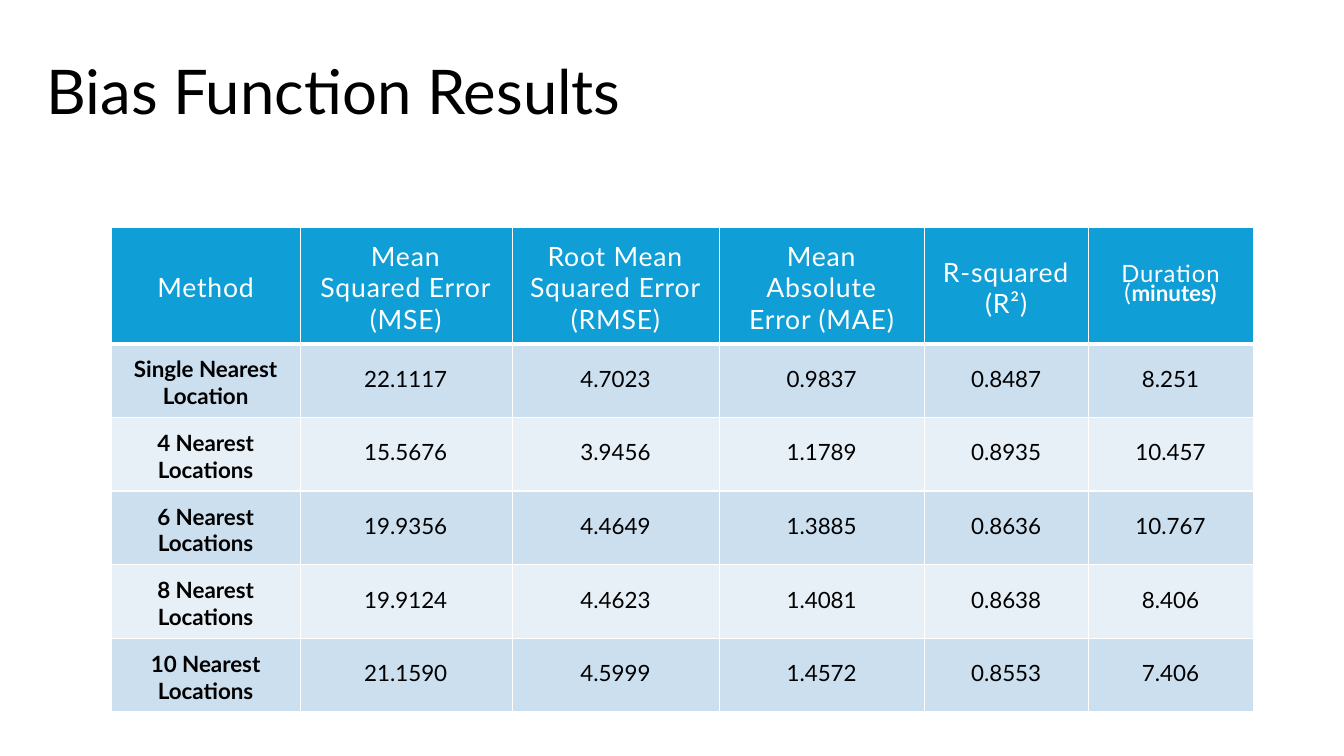
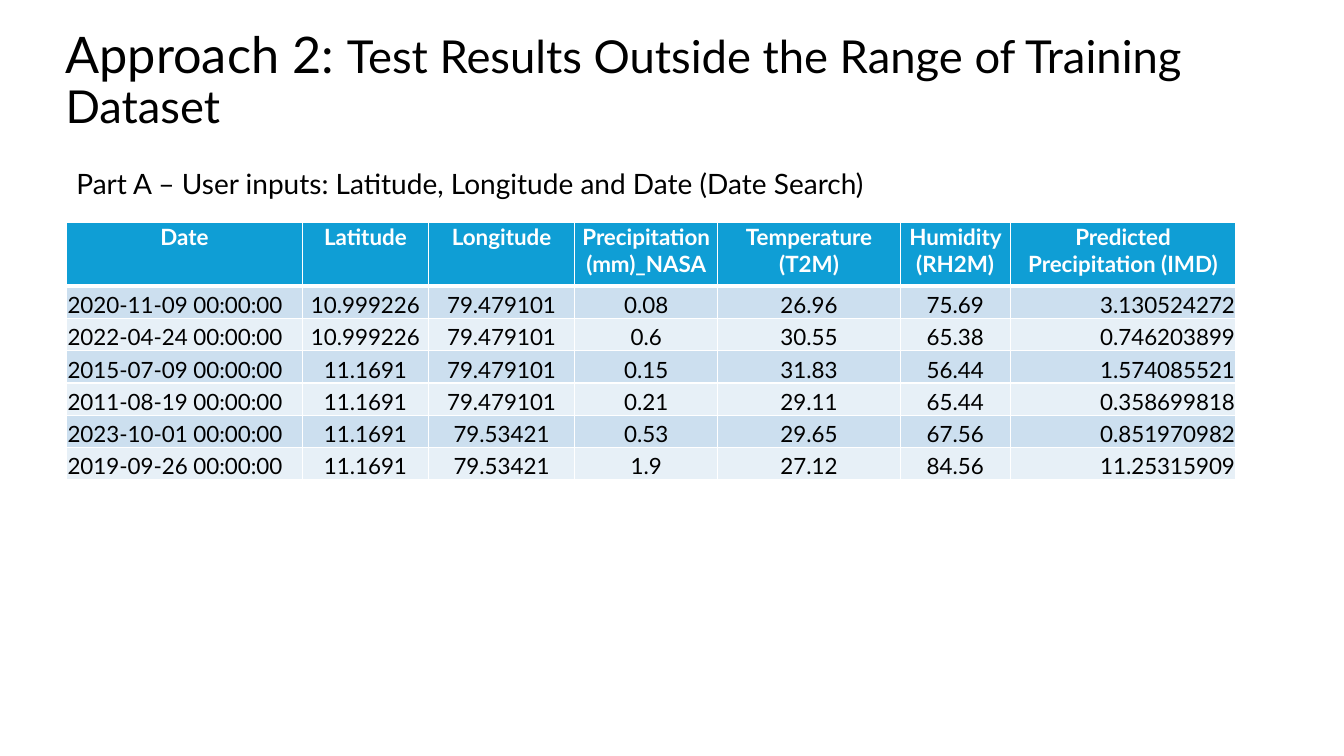
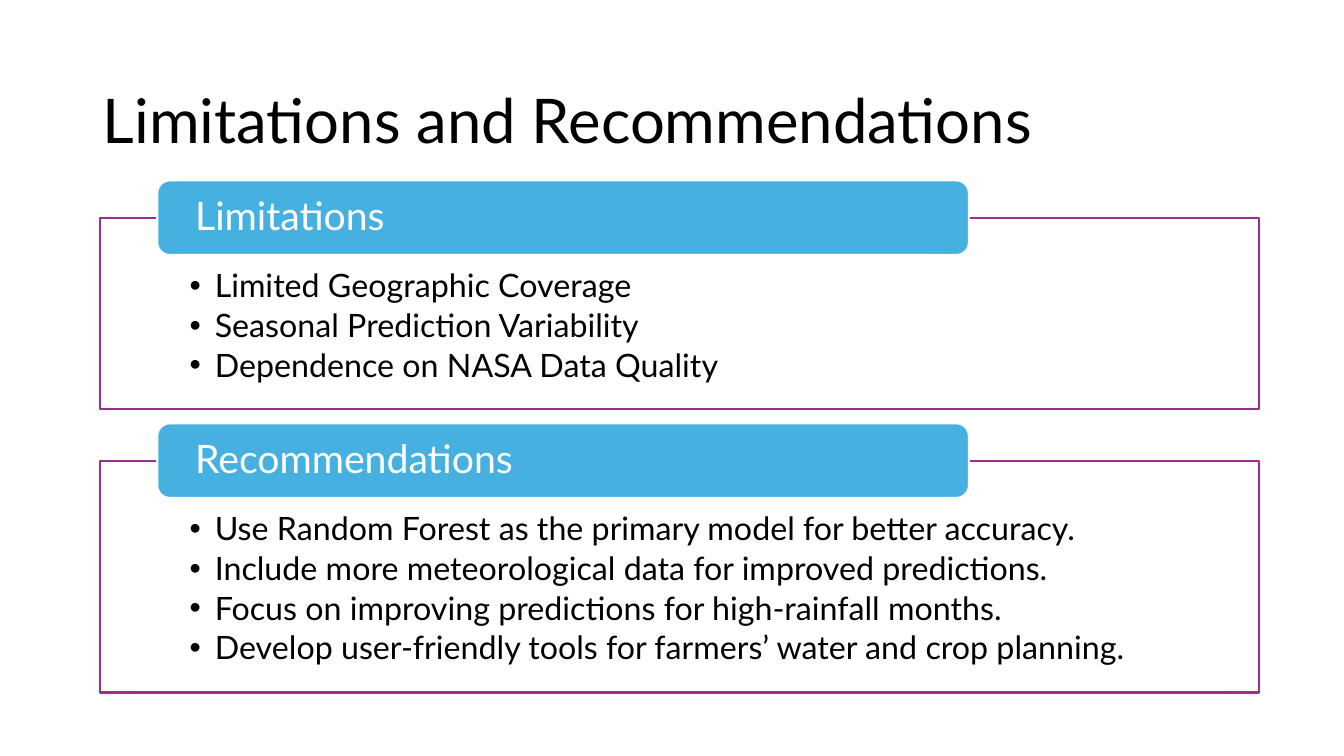
from lxml import etree
from pptx import Presentation
from pptx.dml.color import RGBColor
from pptx.enum.shapes import MSO_SHAPE
from pptx.enum.text import MSO_ANCHOR, MSO_AUTO_SIZE, PP_ALIGN
from pptx.oxml.ns import qn
from pptx.util import Pt

PX = 9144  # EMU: 100 px to the inch
RECT, ROUND = MSO_SHAPE.RECTANGLE, MSO_SHAPE.ROUNDED_RECTANGLE
TOP, MIDDLE, BOTTOM = MSO_ANCHOR.TOP, MSO_ANCHOR.MIDDLE, MSO_ANCHOR.BOTTOM
LEFT, CENTER, RIGHT = PP_ALIGN.LEFT, PP_ALIGN.CENTER, PP_ALIGN.RIGHT
NO_FIT = MSO_AUTO_SIZE.NONE
TITLE_ONLY, TWO_LISTS = 5, 3

FONT = "Lato"
BLACK, WHITE = "000000", "FFFFFF"
HEADER, BANDS = "0F9ED5", ("E7F0F7", "CCDFEF")
LABEL, FRAME = "46B1E1", "A02B93"


def rgb(color):
    return RGBColor.from_string(color)


def px(*values):
    return [value * PX for value in values]


def set_margins(target, left, top, right, bottom):
    target.margin_left, target.margin_top, target.margin_right, target.margin_bottom = px(
        left, top, right, bottom)


def set_borders(cell, heavy):
    """White cell borders of 1 pt, and of 3 pt on the sides named in heavy."""
    tc_pr = cell._tc.get_or_add_tcPr()
    for i, side in enumerate("LRTB"):
        ln = etree.Element(qn("a:ln" + side), w=str(Pt(3 if side in heavy else 1)))
        fill = etree.SubElement(ln, qn("a:solidFill"))
        etree.SubElement(fill, qn("a:srgbClr"), val=WHITE)
        tc_pr.insert(i, ln)


class Deck:
    """The shared style, and the slide being filled."""

    def __init__(self, prs):
        self.prs = prs
        self.s = None

    def slide(self, layout=TITLE_ONLY):
        self.s = self.prs.slides.add_slide(self.prs.slide_layouts[layout])

    def style(self, p, size, color=BLACK, bold=False, align=LEFT, line=0.9, spc=None):
        p.alignment = align
        p.line_spacing = line
        p.space_before = Pt(0)
        font = p.font
        font.name, font.size, font.bold = FONT, Pt(size), bold
        font.color.rgb = rgb(color)
        if spc:
            p._p.get_or_add_pPr().get_or_add_defRPr().set("spc", str(spc))

    def place(self, sp, box):
        sp.left, sp.top, sp.width, sp.height = px(*box)

    def title(self, box, text, rest="", size=44):
        """The slide title; rest follows in smaller type."""
        sp = self.s.shapes.title
        self.place(sp, box)
        tf = sp.text_frame
        tf.auto_size, tf.vertical_anchor = NO_FIT, MIDDLE
        p = tf.paragraphs[0]
        self.style(p, size)
        p.add_run().text = text
        if rest:
            r = p.add_run()
            r.text = rest
            r.font.size = Pt(size * 0.9)

    def shape(self, kind, box, fill, line=None):
        sp = self.s.shapes.add_shape(kind, *px(*box))
        sp.shadow.inherit = False
        sp.fill.solid()
        sp.fill.fore_color.rgb = rgb(fill)
        if line:
            sp.line.color.rgb = rgb(line)
            sp.line.width = Pt(1.5)
        else:
            sp.line.fill.background()
        return sp

    def band(self, box):
        """A white band behind the title."""
        sp = self.shape(RECT, box, WHITE)
        self.s.shapes.title.element.addprevious(sp.element)

    def text(self, box, text, size):
        tf = self.s.shapes.add_textbox(*px(*box)).text_frame
        tf.word_wrap = True
        tf.text = text
        self.style(tf.paragraphs[0], size)

    def label(self, box, text):
        tf = self.shape(ROUND, box, LABEL, WHITE).text_frame
        tf.word_wrap, tf.vertical_anchor = True, MIDDLE
        set_margins(tf, 34, 4, 34, 4)
        tf.text = text
        self.style(tf.paragraphs[0], 28, WHITE)

    def framed_list(self, idx, box, items):
        sp = self.s.placeholders[idx]
        self.place(sp, box)
        sp.fill.solid()
        sp.fill.fore_color.rgb = rgb(WHITE)
        sp.line.color.rgb = rgb(FRAME)
        sp.line.width = Pt(1.5)
        tf = sp.text_frame
        tf.auto_size, tf.vertical_anchor = NO_FIT, TOP
        set_margins(tf, 89, 52, 89, 18)
        tf.text = "\n".join(items)
        for p in tf.paragraphs:
            p_pr = p._p.get_or_add_pPr()
            p_pr.set("marL", str(25 * PX))
            p_pr.set("indent", str(-25 * PX))
            self.style(p, 23)
            p.space_after = Pt(3.45)

    def table(self, left, top, widths, heights, rows, margins, cell_style):
        """A banded table; cell_style(row, column) gives the anchor and the text style."""
        frame = self.s.shapes.add_table(
            len(rows), len(widths), *px(left, top, sum(widths), sum(heights)))
        table = frame.table
        table.first_row = table.horz_banding = False
        for column, width in zip(table.columns, widths):
            column.width = width * PX
        for i, (row, height) in enumerate(zip(rows, heights)):
            table.rows[i].height = height * PX
            for j, text in enumerate(row):
                cell = table.cell(i, j)
                cell.fill.solid()
                cell.fill.fore_color.rgb = rgb(BANDS[i % 2] if i else HEADER)
                set_borders(cell, {0: "B", 1: "T"}.get(i, ""))
                set_margins(cell, *margins)
                anchor, style = cell_style(i, j)
                cell.vertical_anchor = anchor
                cell.text = text
                for p in cell.text_frame.paragraphs:
                    self.style(p, **style)
        return table


def bias_cell(i, j):
    if i == 0:
        return MIDDLE, dict(size=19, color=WHITE, align=CENTER, line=1.0, spc=60)
    return MIDDLE, dict(size=16, bold=j == 0, align=CENTER, line=Pt(13.5) if j else 1.0)


def forecast_cell(i, j):
    if i == 0:
        return TOP, dict(size=16, color=WHITE, bold=True, align=CENTER, line=1.0)
    return BOTTOM, dict(size=16, align={0: LEFT, 6: RIGHT}.get(j, CENTER), line=1.0)


BIAS_ROWS = [
    ("Method", "Mean Squared Error (MSE)", "Root Mean Squared Error (RMSE)",
     "Mean Absolute Error (MAE)", "R-squared (R²)", "Duration"),
    ("Single Nearest Location", "22.1117", "4.7023", "0.9837", "0.8487", "8.251"),
    ("4 Nearest Locations", "15.5676", "3.9456", "1.1789", "0.8935", "10.457"),
    ("6 Nearest Locations", "19.9356", "4.4649", "1.3885", "0.8636", "10.767"),
    ("8 Nearest Locations", "19.9124", "4.4623", "1.4081", "0.8638", "8.406"),
    ("10 Nearest Locations", "21.1590", "4.5999", "1.4572", "0.8553", "7.406"),
]

FORECAST_ROWS = [
    ("Date", "Latitude", "Longitude", "Precipitation (mm)_NASA", "Temperature (T2M)",
     "Humidity (RH2M)", "Predicted Precipitation (IMD)"),
    ("2020-11-09 00:00:00", "10.999226", "79.479101", "0.08", "26.96", "75.69", "3.130524272"),
    ("2022-04-24 00:00:00", "10.999226", "79.479101", "0.6", "30.55", "65.38", "0.746203899"),
    ("2015-07-09 00:00:00", "11.1691", "79.479101", "0.15", "31.83", "56.44", "1.574085521"),
    ("2011-08-19 00:00:00", "11.1691", "79.479101", "0.21", "29.11", "65.44", "0.358699818"),
    ("2023-10-01 00:00:00", "11.1691", "79.53421", "0.53", "29.65", "67.56", "0.851970982"),
    ("2019-09-26 00:00:00", "11.1691", "79.53421", "1.9", "27.12", "84.56", "11.25315909"),
]

SECTIONS = [
    ("Limitations", 179, 190, [
        "Limited Geographic Coverage",
        "Seasonal Prediction Variability",
        "Dependence on NASA Data Quality",
    ]),
    ("Recommendations", 420, 230, [
        "Use Random Forest as the primary model for better accuracy.",
        "Include more meteorological data for improved predictions.",
        "Focus on improving predictions for high-rainfall months.",
        "Develop user-friendly tools for farmers’ water and crop planning.",
    ]),
]


def bias_slide(deck):
    deck.slide()
    deck.title((36, 30, 791, 127), "Bias Function Results")
    deck.band((0, 0, 1333, 186))
    table = deck.table(111, 226, (187, 210, 206, 203, 163, 163), (109,) + (69,) * 5,
                       BIAS_ROWS, (17, 12, 18, 8), bias_cell)
    tf = table.cell(0, 5).text_frame
    unit = tf.add_paragraph()
    for p in tf.paragraphs:
        deck.style(p, 17, WHITE, align=CENTER, line=Pt(13.5), spc=60)
    unit.add_run().text = "("
    r = unit.add_run()
    r.text = "minutes)"
    r.font.size, r.font.bold = Pt(16), True
    r._r.get_or_add_rPr().set("spc", "0")


def forecast_slide(deck):
    deck.slide()
    deck.title((55, 26, 1226, 110), "Approach 2: ",
               "Test Results Outside the Range of Training Dataset", size=36)
    deck.table(66, 221, (234, 125, 145, 142, 181, 109, 224), (63,) + (32,) * 6,
               FORECAST_ROWS, (1, 1, 1, 0), forecast_cell)
    deck.text((66, 164, 836, 32),
              "Part A – User inputs: Latitude, Longitude and Date (Date Search)", 20)


def limits_slide(deck):
    deck.slide(TWO_LISTS)
    deck.title((92, 61, 1150, 124), "Limitations and Recommendations")
    for idx, (heading, top, height, items) in enumerate(SECTIONS, 1):
        deck.framed_list(idx, (99, top + 37, 1150, height), items)
        deck.label((156, top, 805, 74), heading)


def main():
    prs = Presentation()
    prs.slide_width, prs.slide_height = px(1333, 750)
    deck = Deck(prs)
    bias_slide(deck)
    forecast_slide(deck)
    limits_slide(deck)
    prs.save("out.pptx")


if __name__ == "__main__":
    main()
